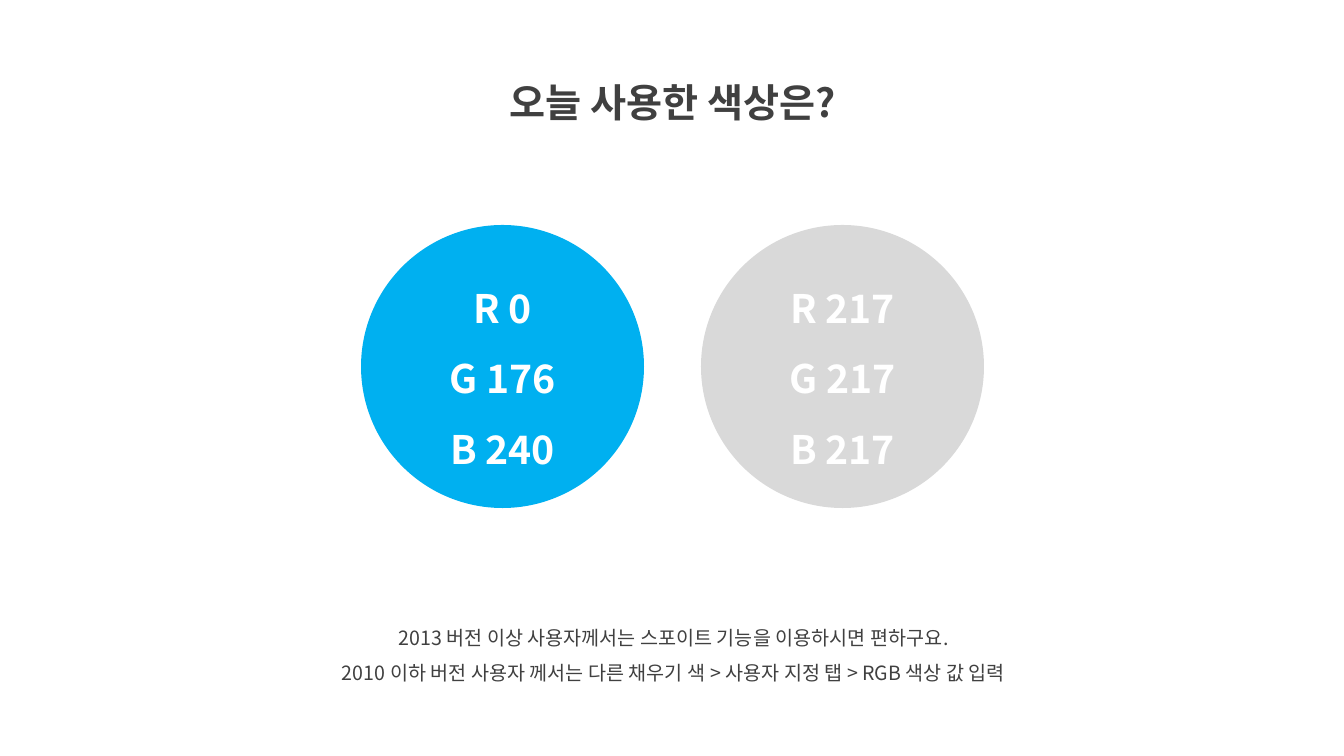
from lxml import etree
from pptx import Presentation
from pptx import util as u
from pptx.dml.color import RGBColor
from pptx.enum import shapes, text
from pptx.oxml.ns import qn

TITLE = "오늘 사용한 색상은?"
NOTES = [
    "2013 버전 이상 사용자께서는 스포이트 기능을 이용하시면 편하구요.",
    "2010 이하 버전 사용자 께서는 다른 채우기 색 > 사용자 지정 탭 > RGB 색상 값 입력",
]
SWATCHES = [
    ("blue", ["R 0", "G 176", "B 240"]),
    ("gray", ["R 217", "G 217", "B 217"]),
]
COLORS = {"ink": "404040", "white": "FFFFFF", "blue": "00B0F0", "gray": "D9D9D9"}
FONT = "Noto Sans CJK KR"
LEFT, TOP, DIAMETER, STEP = 361, 225, 283, 340


def px(*values):
    return [u.Emu(round(v * 914400 / 100.8)) for v in values]


def color(name):
    return RGBColor.from_string(COLORS[name])


def write(sp, lines, size, ink, bold, anchor):
    tf = sp.text_frame
    tf.text = "\n".join(lines)
    tf.word_wrap = True
    tf.auto_size = text.MSO_AUTO_SIZE.NONE
    tf.vertical_anchor = anchor
    for p in tf.paragraphs:
        p.alignment = text.PP_ALIGN.CENTER
        p.line_spacing = 1.5
        for r in p.runs:
            r.font.size = u.Pt(size)
            r.font.bold = bold
            r.font.color.rgb = color(ink)
            r.font.name = FONT
            ea = etree.SubElement(r.font._element, qn("a:ea"))
            ea.set("typeface", FONT)


prs = Presentation()
prs.slide_width, prs.slide_height = px(1344, 756)
s = prs.slides.add_slide(prs.slide_layouts[5])

title = s.shapes.title
title.left, title.top, title.width, title.height = px(439, 50, 467, 73)
write(title, [TITLE], 28, "ink", True, text.MSO_ANCHOR.TOP)

notes = s.shapes.add_textbox(*px(271, 609, 805, 82))
write(notes, NOTES, 14, "ink", False, text.MSO_ANCHOR.TOP)

for i, (fill, values) in enumerate(SWATCHES):
    circle = s.shapes.add_shape(
        shapes.MSO_SHAPE.OVAL, *px(LEFT + i * STEP, TOP, DIAMETER, DIAMETER))
    circle.shadow.inherit = False
    circle.fill.solid()
    circle.fill.fore_color.rgb = color(fill)
    circle.line.fill.background()
    write(circle, values, 28, "white", True, text.MSO_ANCHOR.MIDDLE)

prs.save("out.pptx")
